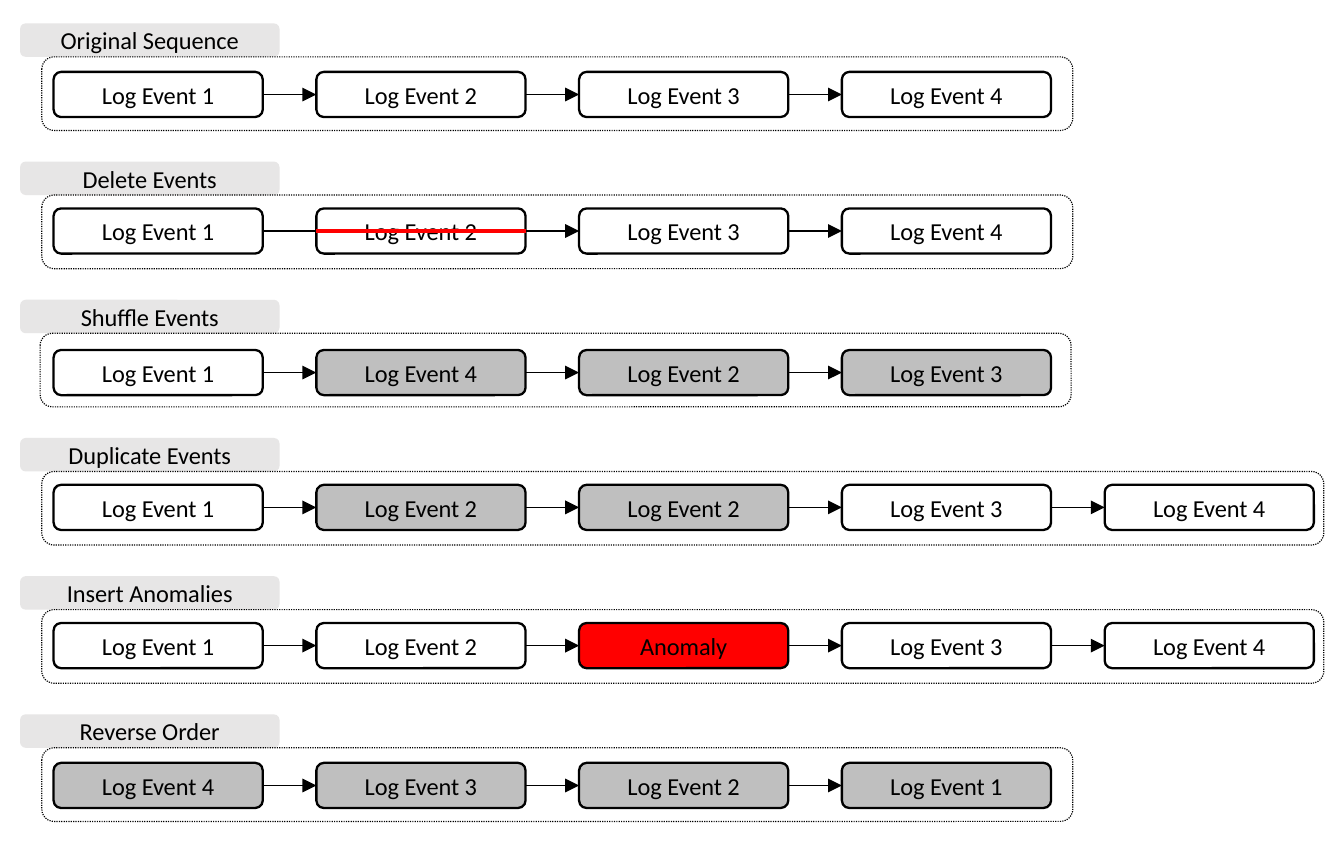
from dataclasses import dataclass
from typing import Any, Optional

from lxml import etree
from pptx import Presentation
from pptx.dml.color import RGBColor
from pptx.enum.dml import MSO_LINE
from pptx.enum.shapes import MSO_CONNECTOR, MSO_SHAPE
from pptx.enum.text import MSO_ANCHOR, PP_ALIGN
from pptx.oxml.ns import qn
from pptx.shapes.autoshape import Shape
from pptx.shapes.connector import Connector
from pptx.slide import Slide
from pptx.util import Inches, Pt

ROUNDED = MSO_SHAPE.ROUNDED_RECTANGLE
STRAIGHT = MSO_CONNECTOR.STRAIGHT
DOTTED = MSO_LINE.ROUND_DOT
CENTER = PP_ALIGN.CENTER
MIDDLE = MSO_ANCHOR.MIDDLE
LEFT_SIDE, RIGHT_SIDE = 1, 3


@dataclass(frozen=True)
class Theme:
    ink: RGBColor = RGBColor.from_string("000000")
    label: RGBColor = RGBColor.from_string("E7E6E6")
    changed: RGBColor = RGBColor.from_string("BFBFBF")
    alert: RGBColor = RGBColor.from_string("FF0000")
    font: str = "Calibri"
    text_size: float = 10.5
    thin: float = 0.5
    outline: float = 1
    strike: float = 1.5


@dataclass(frozen=True)
class Grid:
    """Places in inches; rows are counted from the top of the first frame."""
    first_column: float = 0.32
    column_step: float = 1.57
    first_row: float = 0.34
    last_row: float = 4.47
    row_count: int = 6

    def column(self, index: int) -> float:
        return self.first_column + index * self.column_step

    def row(self, index: int) -> float:
        return self.first_row + index * (self.last_row - self.first_row) / (self.row_count - 1)


@dataclass(frozen=True)
class Event:
    name: str
    fill: Optional[RGBColor] = None
    deleted: bool = False


@dataclass(frozen=True)
class Sequence:
    title: str
    events: list[Event]
    event_inset: float = 0.08
    frame_left: float = 0.25


THEME = Theme()
GRID = Grid()
SLIDE_SIZE = (8.03, 5.14)
EVENT_SIZE = (1.25, 0.27)
LABEL_LEFT = 0.12
LABEL_SIZE = (1.55, 0.2)
FRAME_HEIGHT = 0.44
FRAME_WIDTHS = {4: 6.16, 5: 7.66}  # by number of events


def log(number: int, fill: Optional[RGBColor] = None, deleted: bool = False) -> Event:
    return Event(f"Log Event {number}", fill, deleted)


def logs(*numbers: int, fill: Optional[RGBColor] = None) -> list[Event]:
    return [log(number, fill) for number in numbers]


SEQUENCES = [
    Sequence("Original Sequence", logs(1, 2, 3, 4), event_inset=0.09),
    Sequence("Delete Events", [log(1), log(2, deleted=True), *logs(3, 4)]),
    Sequence("Shuffle Events", [log(1), *logs(4, 2, 3, fill=THEME.changed)],
             event_inset=0.1, frame_left=0.24),
    Sequence("Duplicate Events", [log(1), *logs(2, 2, fill=THEME.changed), *logs(3, 4)]),
    Sequence("Insert Anomalies", [*logs(1, 2), Event("Anomaly", THEME.alert), *logs(3, 4)]),
    Sequence("Reverse Order", logs(4, 3, 2, 1, fill=THEME.changed), event_inset=0.09),
]


def set_format(target: Any, values: dict[str, Any]) -> None:
    for name, value in values.items():
        setattr(target, name, value)


def add_box(slide: Slide, place: tuple[float, float], size: tuple[float, float],
            fill: Optional[RGBColor] = None, line_width: float = 0) -> Shape:
    """Add a rounded box; without a fill or a line width, that part stays empty."""
    shape = slide.shapes.add_shape(ROUNDED, *map(Inches, place + size))
    shape.shadow.inherit = False
    if fill is None:
        shape.fill.background()
    else:
        shape.fill.solid()
        shape.fill.fore_color.rgb = fill
    if line_width:
        shape.line.width = Pt(line_width)
        shape.line.color.rgb = THEME.ink
    else:
        shape.line.fill.background()
    return shape


def write_text(shape: Shape, text: str) -> None:
    set_format(shape.text_frame, {"vertical_anchor": MIDDLE, "word_wrap": True})
    paragraph = shape.text_frame.paragraphs[0]
    set_format(paragraph, {"text": text, "alignment": CENTER})
    set_format(paragraph.font, {"name": THEME.font, "size": Pt(THEME.text_size)})
    paragraph.font.color.rgb = THEME.ink


def add_link(slide: Slide, start: Shape, start_side: int, end: Shape, end_side: int,
             color: RGBColor, width: float) -> Connector:
    connector = slide.shapes.add_connector(STRAIGHT, 0, 0, 0, 0)
    connector.begin_connect(start, start_side)
    connector.end_connect(end, end_side)
    connector.line.width = Pt(width)
    connector.line.color.rgb = color
    etree.SubElement(connector._element.spPr, qn("a:effectLst"))
    return connector


def add_arrow(slide: Slide, start: Shape, end: Shape) -> None:
    arrow = add_link(slide, start, RIGHT_SIDE, end, LEFT_SIDE, THEME.ink, THEME.thin)
    etree.SubElement(arrow.line._get_or_add_ln(), qn("a:tailEnd"), type="triangle")


def draw_sequence(slide: Slide, sequence: Sequence, row: int) -> None:
    top = GRID.row(row)
    boxes = []
    for column, event in enumerate(sequence.events):
        place = (GRID.column(column), top + sequence.event_inset)
        box = add_box(slide, place, EVENT_SIZE, event.fill, THEME.outline)
        write_text(box, event.name)
        boxes.append(box)

    kept = [box for box, event in zip(boxes, sequence.events) if not event.deleted]
    for start, end in zip(kept, kept[1:]):
        add_arrow(slide, start, end)
    for box, event in zip(boxes, sequence.events):
        if event.deleted:
            add_link(slide, box, LEFT_SIDE, box, RIGHT_SIDE, THEME.alert, THEME.strike)

    label = add_box(slide, (LABEL_LEFT, top - LABEL_SIZE[1]), LABEL_SIZE, THEME.label)
    write_text(label, sequence.title)
    frame_size = (FRAME_WIDTHS[len(boxes)], FRAME_HEIGHT)
    frame = add_box(slide, (sequence.frame_left, top), frame_size, line_width=THEME.thin)
    frame.line.dash_style = DOTTED


def main() -> None:
    presentation = Presentation()
    width, height = map(Inches, SLIDE_SIZE)
    set_format(presentation, {"slide_width": width, "slide_height": height})
    slide = presentation.slides.add_slide(presentation.slide_layouts[6])
    for row, sequence in enumerate(SEQUENCES):
        draw_sequence(slide, sequence, row)
    presentation.save("out.pptx")


if __name__ == "__main__":
    main()
